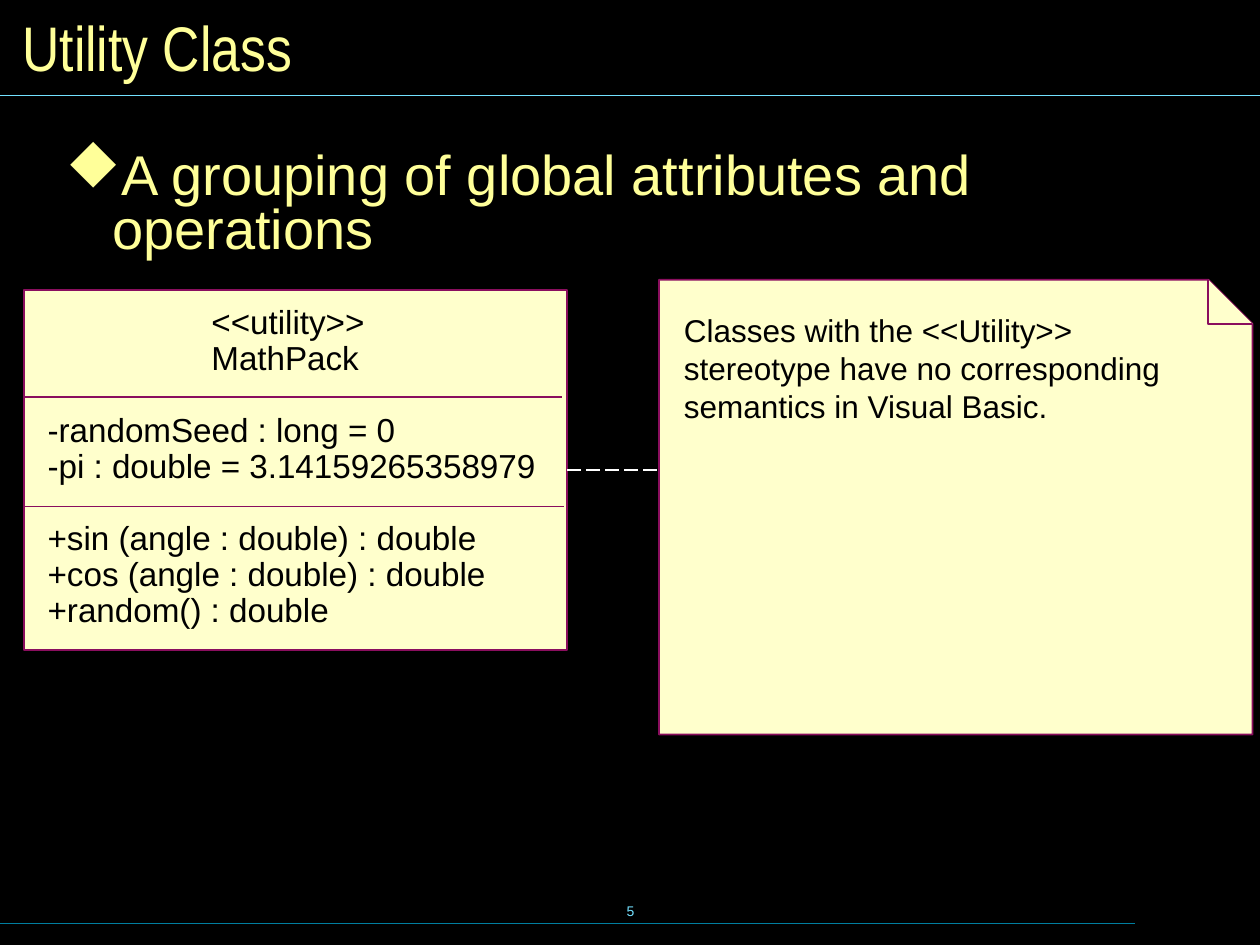
from dataclasses import dataclass, field
from typing import Any

from lxml.etree import SubElement
from pptx import Presentation
from pptx.dml.color import RGBColor
from pptx.enum.dml import MSO_LINE
from pptx.enum.shapes import MSO_CONNECTOR, MSO_SHAPE
from pptx.enum.text import MSO_ANCHOR, PP_ALIGN
from pptx.oxml.ns import qn
from pptx.util import Inches, Pt


@dataclass(frozen=True)
class Theme:
    background: str = "000000"
    heading: str = "FFFF99"
    accent: str = "73E1FF"
    footer_rule: str = "007E9F"
    paper: str = "FFFFCC"
    outline: str = "8A0E5E"
    ink: str = "000000"
    link: str = "FFFFFF"
    font: str = "Arial"
    title_font: str = "Arial Narrow"
    bullet_font: str = "Wingdings"
    diamond: str = "u"
    title_size: float = 36
    body_size: float = 32
    class_size: float = 19
    note_size: float = 18
    number_size: float = 8
    rule_width: float = 0.75
    outline_width: float = 1


THEME = Theme()


@dataclass(frozen=True)
class Line:
    text: str
    indent: float = 0
    hanging: float = 0
    bullet: str = ""
    format: dict[str, Any] = field(default_factory=dict)


@dataclass(frozen=True)
class TextBlock:
    at: tuple[float, float, float, float]
    lines: list[Line]
    size: float
    color: str
    font: str = THEME.font
    margins: tuple[float, float] = (0.1, 0.05)
    anchor: MSO_ANCHOR = MSO_ANCHOR.TOP


@dataclass(frozen=True)
class Rule:
    start: tuple[float, float]
    end: tuple[float, float]
    color: str
    width: float


def apply(target: Any, values: dict[str, Any]) -> None:
    for name, value in values.items():
        setattr(target, name, value)


def draw_text(slide: Any, block: TextBlock) -> None:
    frame = slide.shapes.add_textbox(*map(Inches, block.at)).text_frame
    side, end = map(Inches, block.margins)
    apply(frame, {
        "word_wrap": True, "vertical_anchor": block.anchor,
        "margin_left": side, "margin_right": side,
        "margin_top": end, "margin_bottom": end,
    })
    for index, line in enumerate(block.lines):
        paragraph = frame.add_paragraph() if index else frame.paragraphs[0]
        apply(paragraph, line.format)
        properties = paragraph._p.get_or_add_pPr()
        properties.set("marL", str(Inches(line.indent)))
        properties.set("indent", str(Inches(-line.hanging)))
        if line.bullet:
            bullet_color = SubElement(properties, qn("a:buClr"))
            SubElement(bullet_color, qn("a:srgbClr"), val=block.color)
            SubElement(properties, qn("a:buFont"), typeface=THEME.bullet_font,
                       pitchFamily="2", charset="2")
            SubElement(properties, qn("a:buChar"), char=line.bullet)
        run = paragraph.add_run()
        run.text = line.text
        apply(run.font, {"name": block.font, "size": Pt(block.size)})
        run.font.color.rgb = RGBColor.from_string(block.color)


def draw_rule(slide: Any, rule: Rule) -> Any:
    connector = slide.shapes.add_connector(
        MSO_CONNECTOR.STRAIGHT, *map(Inches, rule.start + rule.end))
    connector.line.color.rgb = RGBColor.from_string(rule.color)
    connector.line.width = Pt(rule.width)
    SubElement(connector._element.spPr, qn("a:effectLst"))
    return connector


def style_paper(shape: Any) -> Any:
    shape.shadow.inherit = False
    shape.fill.solid()
    shape.fill.fore_color.rgb = RGBColor.from_string(THEME.paper)
    shape.line.color.rgb = RGBColor.from_string(THEME.outline)
    shape.line.width = Pt(THEME.outline_width)
    return shape


def draw_outline(slide: Any, points: list[tuple[float, float]], close: bool) -> None:
    start, *rest = [(Inches(x), Inches(y)) for x, y in points]
    builder = slide.shapes.build_freeform(*start)
    builder.add_line_segments(rest, close=close)
    style_paper(builder.convert_to_shape())


def draw_note(slide: Any) -> None:
    left, top, right, bottom, fold = 5.23, 2.22, 9.94, 5.83, 0.35
    fold_top, fold_side = (right - fold, top), (right, top + fold)
    draw_outline(slide, [(right, bottom), (left, bottom), (left, top),
                         fold_top, fold_side], True)
    draw_outline(slide, [fold_side, (right - fold, top + fold), fold_top], False)
    draw_text(slide, TextBlock(
        (5.33, 2.42, 4.42, 0.99),
        [Line("Classes with the <<Utility>> stereotype have no corresponding "
              "semantics in Visual Basic.")],
        THEME.note_size, THEME.ink))


def draw_class(slide: Any) -> Any:
    class_box = style_paper(slide.shapes.add_shape(
        MSO_SHAPE.RECTANGLE, *map(Inches, (0.19, 2.3, 4.31, 2.86))))
    for y, right in ((3.15, 4.46), (4.02, 4.48)):
        draw_rule(slide, Rule((0.2, y), (right, y), THEME.outline, THEME.outline_width))
    compartments = [
        (["<<utility>>", "MathPack"], 1.3),
        (["-randomSeed : long = 0", "-pi : double = 3.14159265358979"], 0),
        (["+sin (angle : double) : double", "+cos (angle : double) : double",
          "+random() : double"], 0),
    ]
    lines = [
        Line(text, indent, format={
            "line_spacing": 0.9,
            "space_before": Pt(20.6 if section and not row else 0)})
        for section, (texts, indent) in enumerate(compartments)
        for row, text in enumerate(texts)
    ]
    draw_text(slide, TextBlock((0.28, 2.38, 4.1, 2.67), lines,
                               THEME.class_size, THEME.ink))
    return class_box


def draw_frame(slide: Any) -> None:
    draw_text(slide, TextBlock(
        (3.42, 6.98, 3.17, 0.5), [Line("5", format={"alignment": PP_ALIGN.CENTER})],
        THEME.number_size, THEME.accent, anchor=MSO_ANCHOR.MIDDLE))
    draw_rule(slide, Rule((0, 7.33), (9.01, 7.33), THEME.footer_rule, THEME.rule_width))
    draw_rule(slide, Rule((0, 0.76), (10, 0.76), THEME.accent, THEME.rule_width))
    draw_text(slide, TextBlock(
        (0.08, 0.08, 9.84, 0.58), [Line("Utility Class")], THEME.title_size,
        THEME.heading, THEME.title_font, anchor=MSO_ANCHOR.MIDDLE))
    draw_text(slide, TextBlock(
        (0.4, 1.15, 9.29, 1),
        [Line("A grouping of global attributes and operations", 0.37, 0.37,
              THEME.diamond, {"line_spacing": 0.8, "space_before": Pt(12)})],
        THEME.body_size, THEME.heading, margins=(0.12, 0.06)))


def main() -> None:
    deck = Presentation()
    apply(deck, {"slide_width": Inches(10), "slide_height": Inches(7.5)})
    slide = deck.slides.add_slide(deck.slide_layouts[6])
    slide.background.fill.solid()
    slide.background.fill.fore_color.rgb = RGBColor.from_string(THEME.background)
    draw_frame(slide)
    draw_note(slide)
    class_box = draw_class(slide)
    note_link = draw_rule(slide, Rule((4.5, 3.73), (5.23, 3.73), THEME.link,
                                      THEME.outline_width))
    note_link.line.dash_style = MSO_LINE.LONG_DASH
    note_link.begin_connect(class_box, 3)
    deck.save("out.pptx")


if __name__ == "__main__":
    main()
